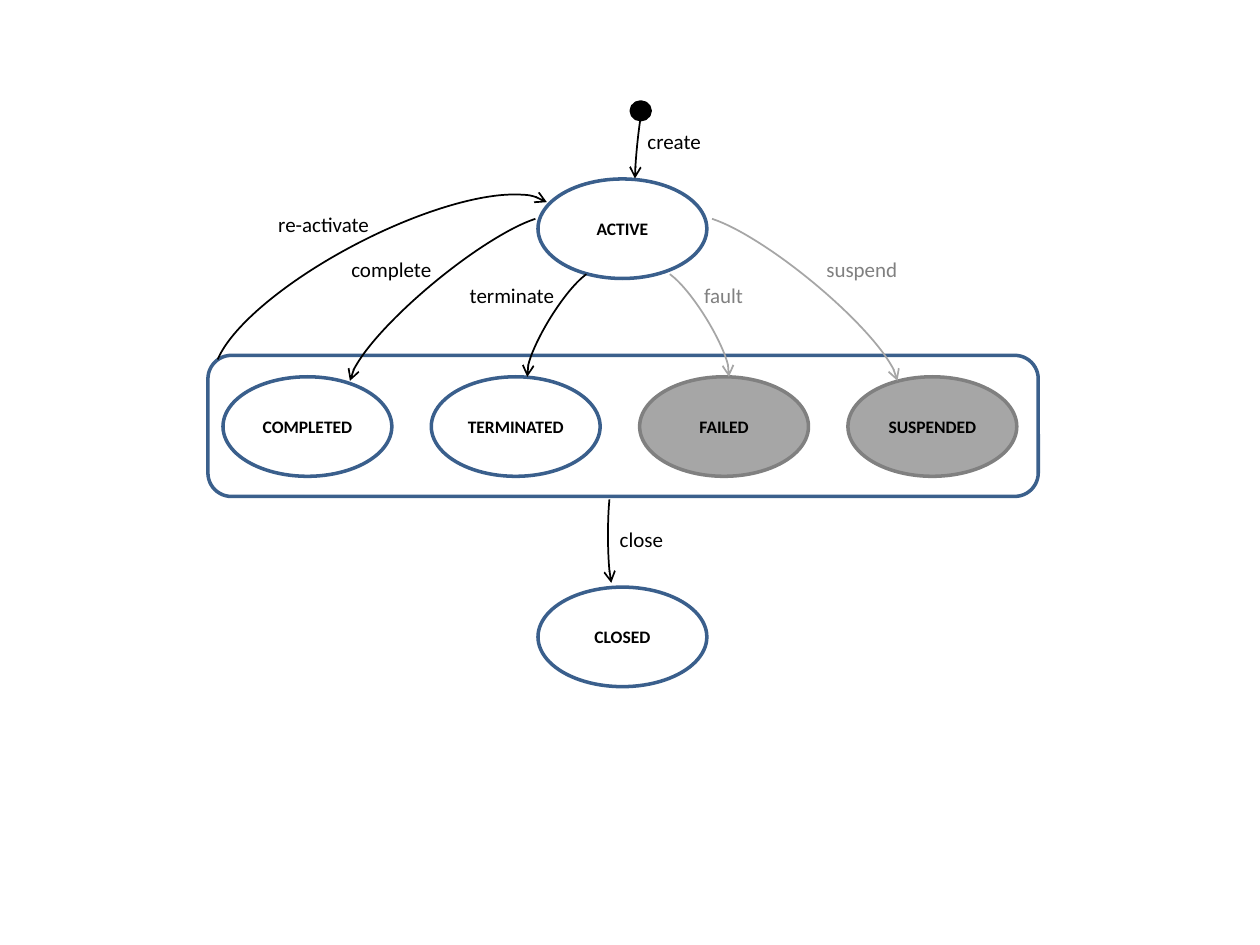
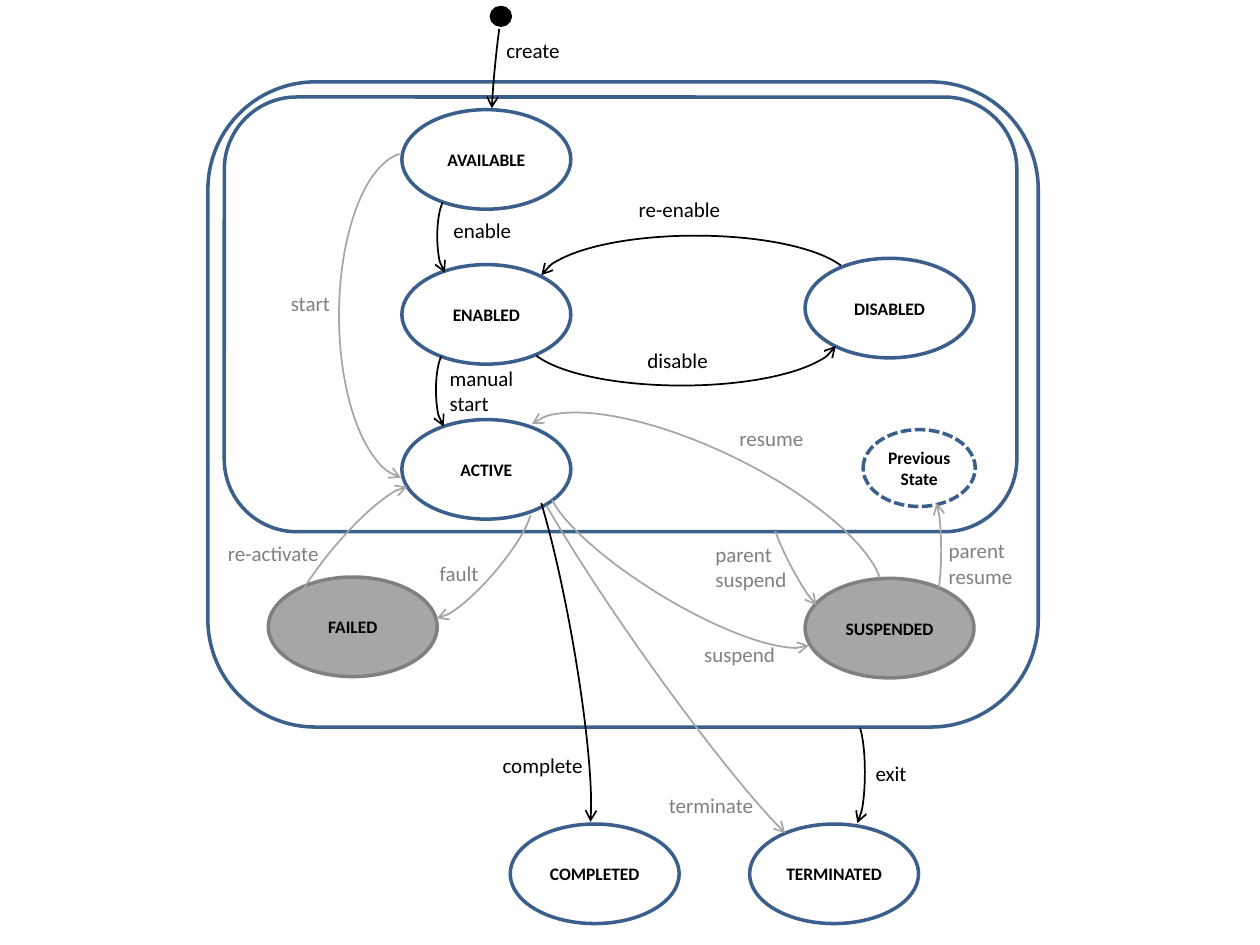
from lxml import etree
from pptx import Presentation
from pptx.dml.color import RGBColor
from pptx.enum.dml import MSO_LINE
from pptx.enum.shapes import MSO_SHAPE
from pptx.enum.text import MSO_ANCHOR, MSO_AUTO_SIZE, PP_ALIGN
from pptx.oxml.ns import qn
from pptx.util import Inches, Pt

ELLIPSE = MSO_SHAPE.OVAL
ROUNDED = MSO_SHAPE.ROUNDED_RECTANGLE
ARC = MSO_SHAPE.ARC
DASHED = MSO_LINE.SQUARE_DOT
MIDDLE = MSO_ANCHOR.MIDDLE
CENTER = PP_ALIGN.CENTER
GROW = MSO_AUTO_SIZE.SHAPE_TO_FIT_TEXT

FONT = "Calibri"
COLORS = {
    "black": "000000",
    "white": "FFFFFF",
    "state": "3A5F8C",
    "frame": "3B608C",
    "grey_fill": "A6A6A6",
    "grey": "808080",
}
STATE_WIDTH, STATE_HEIGHT = 1.34, 0.79
ARC_START, ARC_END = 109.716, 211.915


def color(name):
    return RGBColor.from_string(COLORS[name])


def add_outline(page, kind, box, line, width, fill=None):
    """Add a preset shape with a plain line and an optional fill."""
    shape = page.shapes.add_shape(kind, *map(Inches, box))
    shape.shadow.inherit = False
    if fill:
        shape.fill.solid()
        shape.fill.fore_color.rgb = color(fill)
    else:
        shape.fill.background()
    shape.line.color.rgb = color(line)
    shape.line.width = Pt(width)
    return shape


def add_frame(page, *box):
    add_outline(page, ROUNDED, box, "frame", 2)


def add_start_dot(page, left, top):
    add_outline(page, ELLIPSE, (left, top, 0.15, 0.14), "black", 2, "black")


def add_state(page, name, left, top, width=STATE_WIDTH, height=STATE_HEIGHT,
              optional=False):
    """Add a named state; optional ones are grey."""
    line, fill = ("grey", "grey_fill") if optional else ("state", "white")
    state = add_outline(page, ELLIPSE, (left, top, width, height), line, 2, fill)
    frame = state.text_frame
    frame.word_wrap = True
    frame.vertical_anchor = MIDDLE
    frame.margin_left = frame.margin_right = 0
    frame.text = name
    para = frame.paragraphs[0]
    para.alignment = CENTER
    set_font(para, 10, "black", bold=True)
    return state


def add_transition(page, box, rotation, flip="", line="black", end=ARC_END):
    """Add a curved arrow; flip holds h, v or both."""
    arc = add_outline(page, ARC, box, line, 1)
    arc.adjustments[0] = ARC_START
    arc.adjustments[1] = end
    arc.rotation = rotation
    properties = arc.element.spPr
    for axis in flip:
        properties.xfrm.set("flip" + axis.upper(), "1")
    etree.SubElement(properties.get_or_add_ln(), qn("a:headEnd"), type="arrow")


def add_label(page, text, left, top, width, text_color="black"):
    height = 0.5 if "\n" in text else 0.3
    box = page.shapes.add_textbox(*map(Inches, (left, top, width, height)))
    frame = box.text_frame
    frame.word_wrap = True
    frame.auto_size = GROW
    frame.text = text
    for para in frame.paragraphs:
        set_font(para, 12, text_color)


def set_font(para, size, text_color, bold=False):
    para.font.name = FONT
    para.font.size = Pt(size)
    para.font.bold = bold
    para.font.color.rgb = color(text_color)


def add_case_page(deck):
    page = deck.slides.add_slide(deck.slide_layouts[6])

    # States
    add_start_dot(page, 5.01, 0.81)
    add_state(page, "ACTIVE", 4.27, 1.42)
    add_frame(page, 1.65, 2.82, 6.59, 1.12)
    row = ("COMPLETED", "TERMINATED", "FAILED", "SUSPENDED")
    for index, name in enumerate(row):
        add_state(page, name, 1.77 + 1.6533 * index, 2.99, optional=index > 1)
    add_state(page, "CLOSED", 4.27, 4.66)

    # Transitions
    for transition in (
        ((4.72, 1.1, 0.73, 0.05), 96, "hv"),
        ((2.55, 2.18, 2.11, 0.46), 140.6, "hv"),
        ((3.96, 2.47, 1.01, 0.23), 121.7, "hv"),
        ((5, 2.47, 1.01, 0.23), 238.3, "v", "grey_fill"),
        ((5.24, 2.18, 2.11, 0.46), 219.4, "v", "grey_fill"),
        ((1.55, 1.88, 3.01, 0.95), 332.6, "h"),
        ((4.45, 4.2, 0.84, 0.09), 90, "hv"),
    ):
        add_transition(page, *transition)

    # Transition names
    for label in (
        ("re-activate", 2.11, 1.63, 1.38),
        ("close", 4.82, 4.13, 1.38),
        ("suspend", 6.46, 1.99, 0.79, "grey"),
        ("fault", 5.49, 2.19, 0.79, "grey"),
        ("terminate", 3.63, 2.19, 0.9),
        ("complete", 2.69, 1.99, 0.9),
        ("create", 5.04, 0.97, 0.9),
    ):
        add_label(page, *label)


def add_task_page(deck):
    page = deck.slides.add_slide(deck.slide_layouts[6])

    # Nested frames
    add_frame(page, 1.65, 0.65, 6.59, 5.12)
    add_frame(page, 1.78, 0.77, 6.29, 3.45)

    # States
    add_start_dot(page, 3.9, 0.06)
    for index, name in enumerate(("AVAILABLE", "ENABLED", "ACTIVE")):
        add_state(page, name, 3.19, 0.87 + 1.23 * index)
    add_state(page, "DISABLED", 6.39, 2.05)
    add_state(page, "FAILED", 2.13, 4.58, optional=True)
    add_state(page, "SUSPENDED", 6.39, 4.59, optional=True)
    add_state(page, "COMPLETED", 4.05, 6.54)
    add_state(page, "TERMINATED", 5.95, 6.54)
    previous = add_state(page, "Previous State", 6.85, 3.41, 0.89, 0.61)
    previous.line.dash_style = DASHED

    # Transitions
    for transition in (
        ((3.42, 0.43, 1.09, 0.06), 96, "hv"),
        ((1.95, 1.95, 2.59, 1.11), 90, "hv", "grey_fill", 214.011),
        ((3.25, 1.8, 0.59, 0.15), 90, "hv"),
        ((3.24, 3.02, 0.59, 0.15), 90, "hv"),
        ((4.28, 1.87, 2.48, 0.75), 0),
        ((4.17, 2.31, 2.48, 0.75), 180),
        ((5.93, 4.41, 0.79, 0.11), 62.4, "hv", "grey_fill"),
        ((4.18, 4.11, 2.47, 0.66), 31.3, "hv", "grey_fill"),
        ((4.02, 3.57, 3.12, 1.07), 205.7, "hv", "grey_fill"),
        ((7.02, 4.31, 0.79, 0.11), 270, "hv", "grey_fill"),
        ((2.05, 4.27, 1.48, 0.33), 130.4, "v", "grey_fill"),
        ((3.23, 4.31, 1.18, 0.28), 310.5, "v", "grey_fill"),
        ((3.23, 4.89, 4.07, 0.39), 54.8, "hv", "grey_fill", 212.587),
        ((6.37, 6.05, 0.83, 0.16), 90, "h"),
        ((2.78, 4.92, 3.16, 0.37), 79.9, "h"),
    ):
        add_transition(page, *transition)

    # Transition names
    for label in (
        ("create", 3.92, 0.25, 0.9),
        ("enable", 3.5, 1.68, 0.9),
        ("start", 2.21, 2.26, 0.9, "grey"),
        ("manual\nstart", 3.47, 2.85, 1.38),
        ("re-enable", 4.97, 1.51, 0.9),
        ("disable", 5.04, 2.71, 0.9),
        ("resume", 5.77, 3.33, 1.13, "grey"),
        ("re-activate", 1.71, 4.24, 1.07, "grey"),
        ("fault", 3.39, 4.4, 0.79, "grey"),
        ("parent\nsuspend", 5.58, 4.25, 1.13, "grey"),
        ("parent\nresume", 7.43, 4.22, 1.13, "grey"),
        ("suspend", 5.49, 5.04, 1.13, "grey"),
        ("complete", 3.89, 5.92, 1.38),
        ("terminate", 5.21, 6.24, 1.38, "grey"),
        ("exit", 6.85, 5.99, 1.38),
    ):
        add_label(page, *label)


def main():
    deck = Presentation()
    deck.slide_width, deck.slide_height = Inches(10), Inches(7.5)
    add_case_page(deck)
    add_task_page(deck)
    deck.save("out.pptx")


if __name__ == "__main__":
    main()
